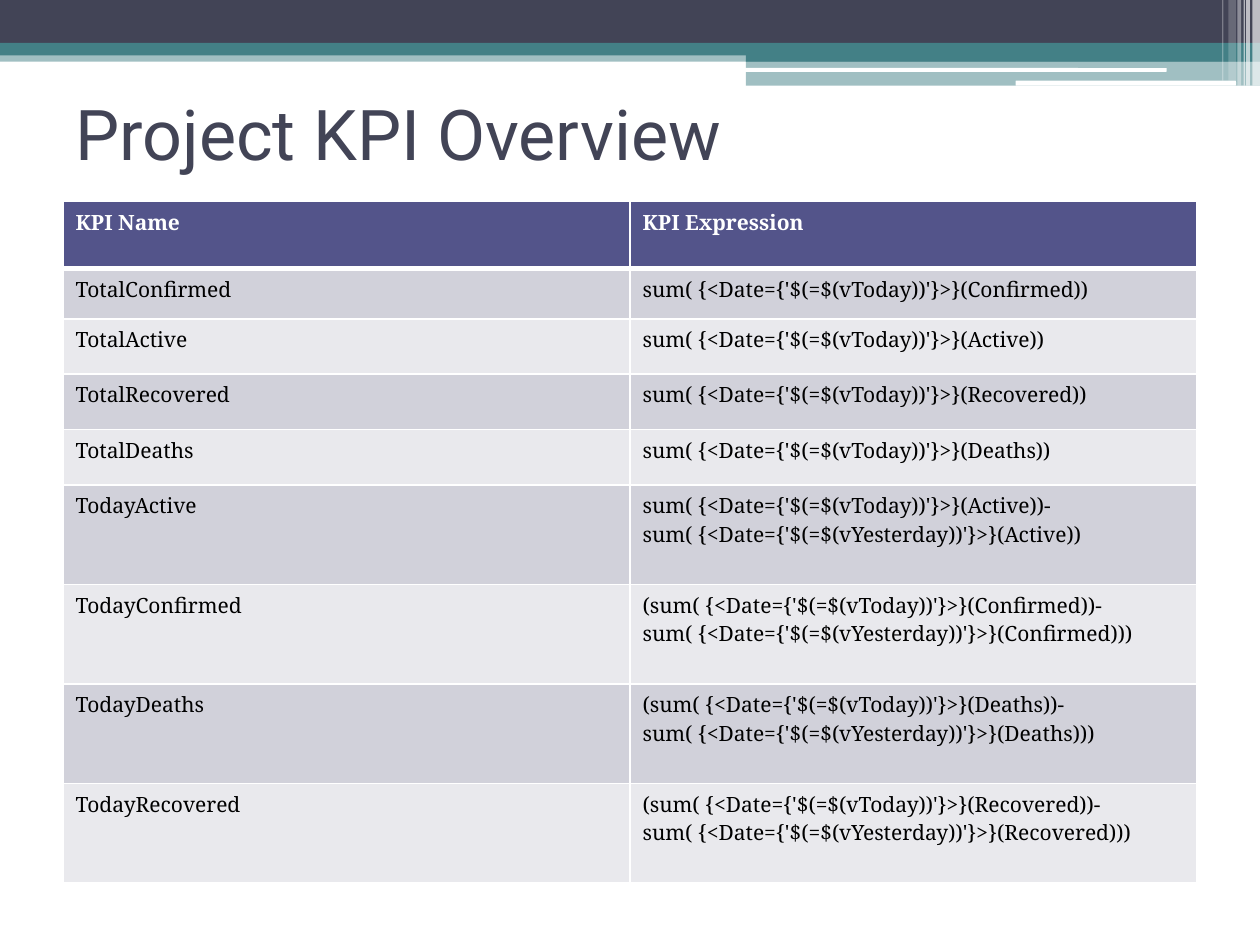
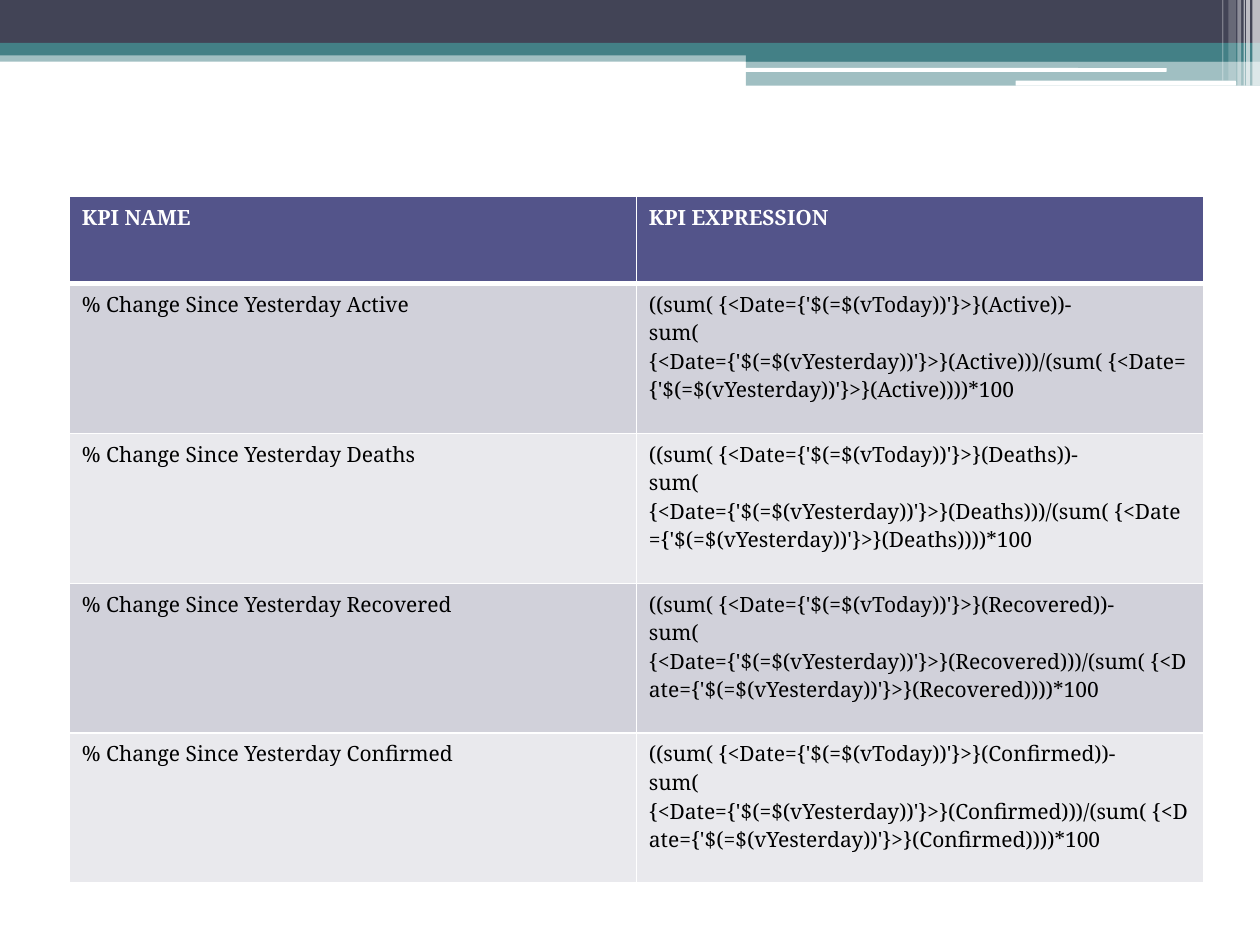
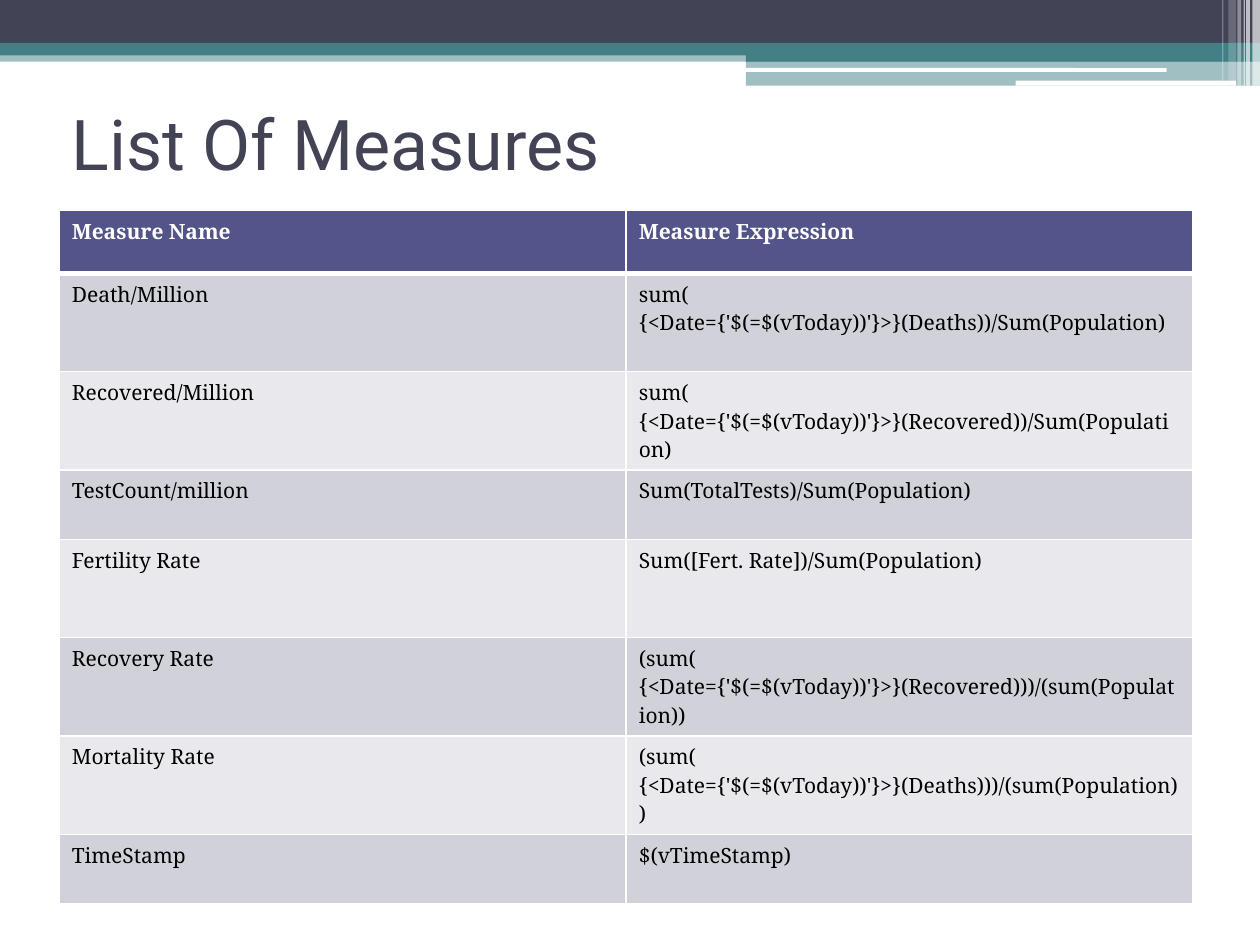
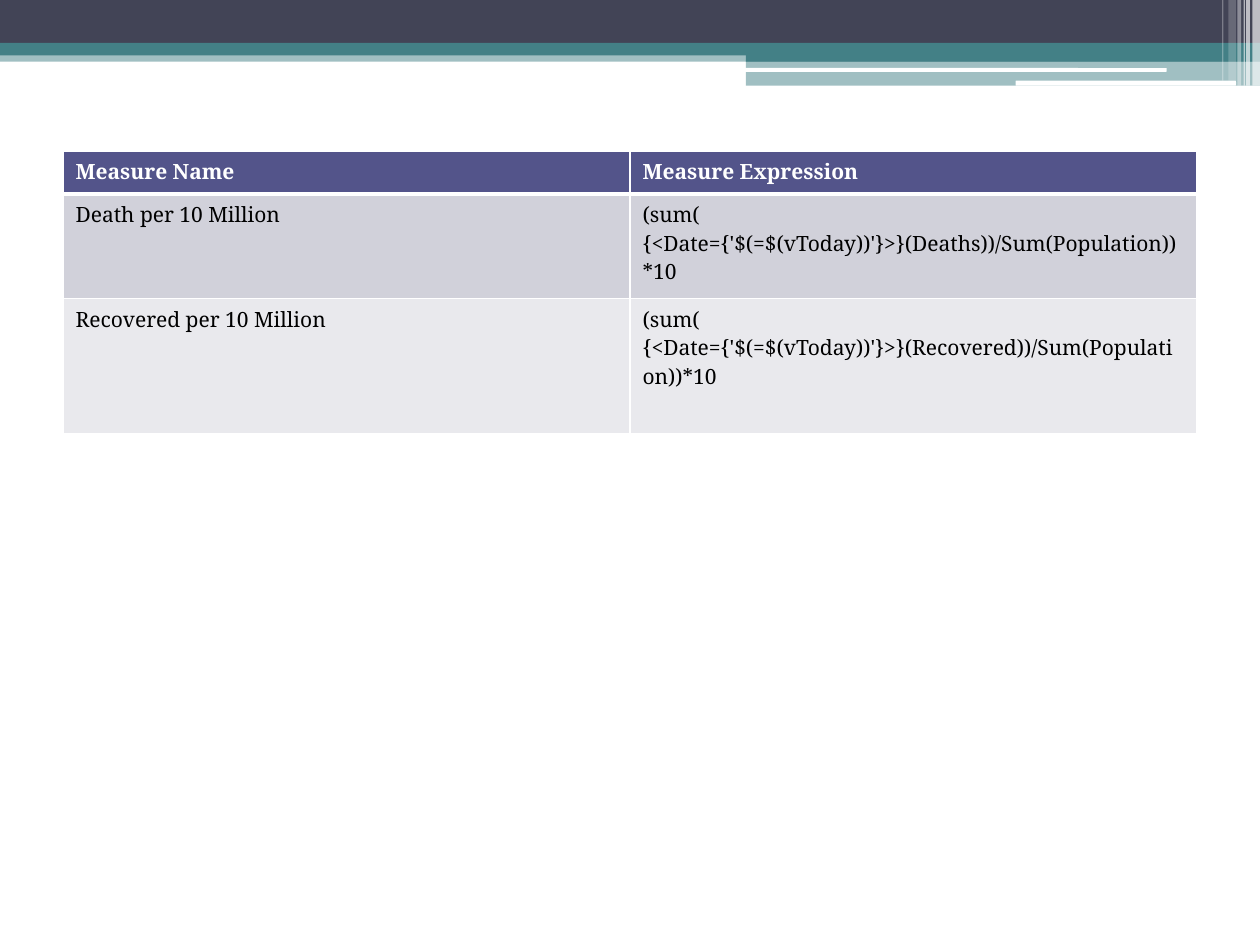
from lxml.etree import SubElement
from pptx import Presentation
from pptx.dml.color import RGBColor
from pptx.enum.shapes import MSO_SHAPE
from pptx.enum.text import MSO_ANCHOR, MSO_AUTO_SIZE, PP_ALIGN
from pptx.oxml.ns import qn
from pptx.util import Inches, Pt

WIDTH, HEIGHT = Inches(10), Inches(7.5)
COLS, ROWS = 100, 75
TITLE_ONLY, BLANK = 5, 6

HUES = {
    "ink": "424456",
    "teal": "438086",
    "white": "FFFFFF",
    "black": "000000",
    "head": "53548A",
    "odd": "D1D1DA",
    "even": "E9E9ED",
}
FONTS = {"title": "Roboto", "table": "Noto Serif"}

BANDS = [
    (0, 4, 100, 0.9, "teal", 50),
    (0, 0, 100, 3.4, "ink", 100),
    (0, 3.4, 100, 1, "teal", 100),
    (59.2, 3.9, 40.8, 1, "teal", 100),
    (59.2, 4.8, 40.8, 2, "teal", 50),
]
PILLS = [(59.1, 5.4, 33.5, 0.3), (80.6, 6.4, 17.5, 0.4)]
STRIPES = [
    (99.4, 0.6, 6.8, 65),
    (98.9, 0.3, 6.8, 65),
    (98.7, 0.1, 6.8, 60),
    (98.2, 0.3, 6.8, 40),
    (97.5, 0.6, 6.4, 20),
    (97, 0.1, 6.4, 30),
]


def color(name):
    return RGBColor.from_string(HUES[name])


def span(cols):
    return round(WIDTH * cols / COLS)


def drop(rows):
    return round(HEIGHT * rows / ROWS)


def place(left, top, width, height):
    return span(left), drop(top), span(width), drop(height)


def write(frame, text, font="table", size=12, hue="black", bold=False):
    frame.word_wrap = True
    frame.text = text
    for para in frame.paragraphs:
        para.alignment = PP_ALIGN.LEFT
        para.font.name = FONTS[font]
        para.font.size = Pt(size)
        para.font.bold = bold
        para.font.color.rgb = color(hue)


def block(slide, box, hue, solid=100, kind=MSO_SHAPE.RECTANGLE):
    shape = slide.shapes.add_shape(kind, *place(*box))
    shape.shadow.inherit = False
    shape.line.fill.background()
    shape.fill.solid()
    shape.fill.fore_color.rgb = color(hue)
    if solid < 100:
        tone = shape.element.spPr.find(".//" + qn("a:srgbClr"))
        SubElement(tone, qn("a:alpha"), val=str(solid * 1000))
    return shape


def banner(slide, master):
    parts = [block(slide, box, hue, solid) for *box, hue, solid in BANDS]
    parts += [block(slide, box, "white", kind=MSO_SHAPE.ROUNDED_RECTANGLE)
              for box in PILLS]
    parts += [block(slide, (left, 0, width, height), "white", solid)
              for left, width, height, solid in STRIPES]
    for index, part in enumerate(parts):
        part.element.nvSpPr.cNvPr.set("id", str(100 + index))
        master.shapes.element.insert(2 + index, part.element)


def title(slide, text, left, top):
    shape = slide.shapes.title
    shape.left, shape.top, shape.width, shape.height = place(left, top, 90, 11.7)
    frame = shape.text_frame
    write(frame, text, font="title", size=40, hue="ink")
    frame.vertical_anchor = MSO_ANCHOR.MIDDLE
    frame.auto_size = MSO_AUTO_SIZE.NONE


def border(cell, top=1, bottom=1):
    props = cell._tc.get_or_add_tcPr()
    for side, width in zip("LRTB", (1, 1, top, bottom)):
        line = SubElement(props, qn("a:ln" + side), w=str(Pt(width)))
        fill = SubElement(line, qn("a:solidFill"))
        SubElement(fill, qn("a:srgbClr"), val=HUES["white"])


def table(slide, left, top, heights, rows):
    box = place(left, top, 90, sum(heights))
    grid = slide.shapes.add_table(len(rows), 2, *box).table
    for index, (height, row) in enumerate(zip(heights, rows)):
        grid.rows[index].height = drop(height)
        head = index == 0
        shade = "head" if head else "odd" if index % 2 else "even"
        for cell, text in zip(grid.rows[index].cells, row):
            border(cell, top=3 if index == 1 else 1, bottom=3 if head else 1)
            cell.fill.solid()
            cell.fill.fore_color.rgb = color(shade)
            write(cell.text_frame, text, hue="white" if head else "black", bold=head)


def total(field, day="Today"):
    return f"sum( {{<Date={{'$(=$(v{day}))'}}>}}({field}))"


def delta(field):
    return f"{total(field)}-\v{total(field, 'Yesterday')}"


def change(field):
    return f"(({delta(field)})/({total(field, 'Yesterday')}))*100"


def main():
    deck = Presentation()
    deck.slide_width, deck.slide_height = WIDTH, HEIGHT
    layouts = [TITLE_ONLY, BLANK, TITLE_ONLY, BLANK]
    kpis, shifts, rates, scaled = [
        deck.slides.add_slide(deck.slide_layouts[n]) for n in layouts]
    banner(kpis, deck.slide_master)

    title(kpis, "Project KPI Overview", 5, 4.7)
    rows = [("KPI Name", "KPI Expression")]
    rows += [("Total" + field, total(field))
             for field in ("Confirmed", "Active", "Recovered", "Deaths")]
    rows += [("TodayActive", delta("Active"))]
    rows += [("Today" + field, f"({delta(field)})")
             for field in ("Confirmed", "Deaths", "Recovered")]
    table(kpis, 5, 16, [5.3, 4] + [4.4] * 3 + [7.9] * 4, rows)

    rows = [("KPI NAME", "KPI EXPRESSION")]
    rows += [("% Change Since Yesterday " + field, change(field))
             for field in ("Active", "Deaths", "Recovered", "Confirmed")]
    table(shifts, 5.5, 15.6, [6.9] + [11.9] * 4, rows)

    title(rates, "List Of Measures", 4.7, 5.5)
    header = ("Measure Name", "Measure Expression")
    rows = [
        header,
        ("Death/Million", total("Deaths") + "/Sum(Population)"),
        ("Recovered/Million", total("Recovered") + "/Sum(Population)"),
        ("TestCount/million", "Sum(TotalTests)/Sum(Population)"),
        ("Fertility Rate", "Sum([Fert. Rate])/Sum(Population)"),
        ("Recovery Rate", f"({total('Recovered')})/(sum(Population))"),
        ("Mortality Rate", f"({total('Deaths')})/(sum(Population))"),
        ("TimeStamp", "$(vTimeStamp)"),
    ]
    table(rates, 4.7, 16.7, [5, 7.8, 7.8, 5.5, 7.8, 7.8, 7.8, 5.5], rows)

    rows = [header]
    rows += [(name + " per 10 Million", f"({total(field)}/Sum(Population))*10")
             for name, field in (("Death", "Deaths"), ("Recovered", "Recovered"))]
    table(scaled, 5, 12, [3.4, 8.3, 10.7], rows)

    deck.save("out.pptx")


main()
